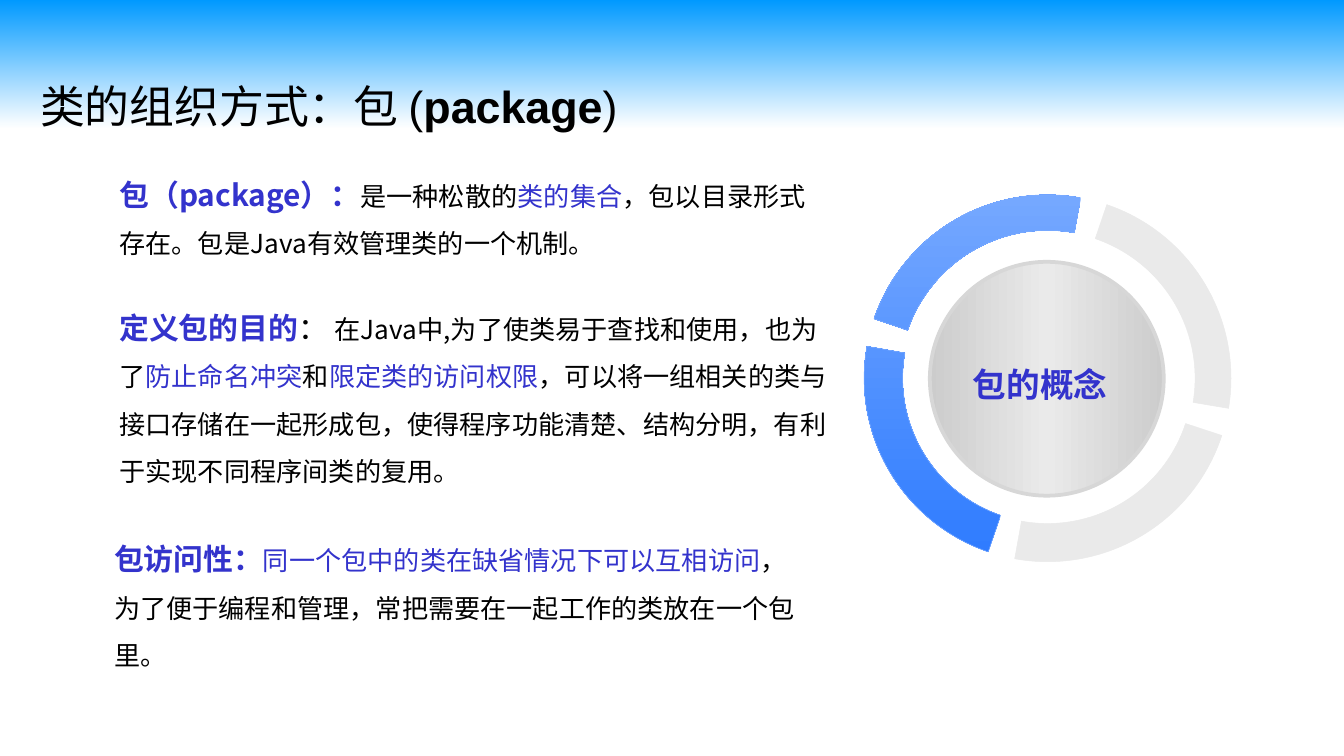
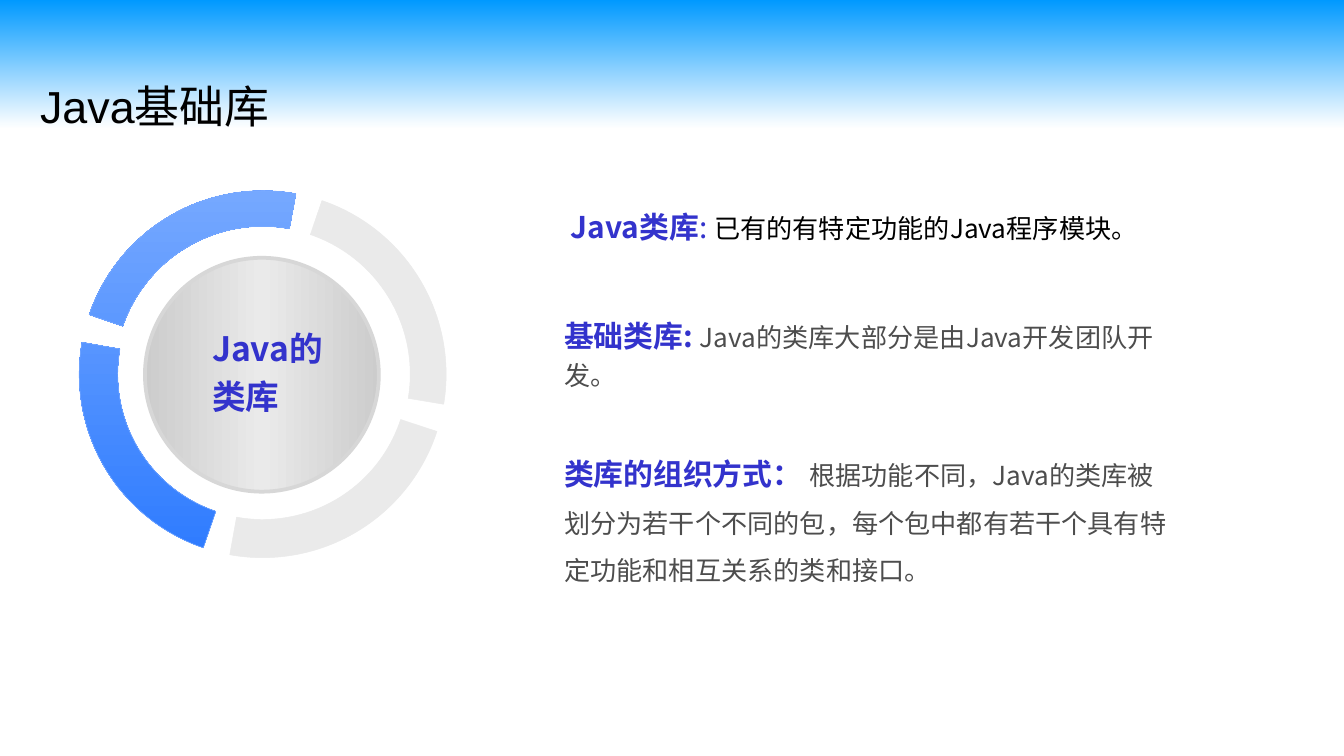
from copy import deepcopy
from dataclasses import dataclass
from typing import NamedTuple

from lxml.etree import SubElement
from pptx import Presentation
from pptx.dml.color import RGBColor
from pptx.enum.shapes import MSO_SHAPE as Shape
from pptx.enum.text import MSO_AUTO_SIZE as Auto
from pptx.oxml.ns import qn
from pptx.util import Pt

PX = 9144
BLACK = RGBColor(0x00, 0x00, 0x00)
WHITE = RGBColor(0xFF, 0xFF, 0xFF)
GRAY = RGBColor(0x4D, 0x4D, 0x4D)
INDIGO = RGBColor(0x33, 0x33, 0xCC)
SKY = RGBColor(0x00, 0x99, 0xFF)
DEEP = RGBColor(0x26, 0x76, 0xFF)
SOFT = RGBColor(0x7D, 0xAD, 0xFF)
PALE = RGBColor(0xEA, 0xEA, 0xEA)
STEEL = RGBColor(0xC5, 0xC5, 0xC5)
RIM = RGBColor(0xD7, 0xD7, 0xD7)
SANS = "Noto Sans CJK SC"
TITLE = "Arial"
RING, DISC, TURN = 273, 174, 14.4


class Run(NamedTuple):
    text: str
    color: RGBColor = BLACK
    size: int = 14
    bold: bool = False
    font: str = SANS


class Arc(NamedTuple):
    start: float
    end: float
    band: float
    flip: bool
    angle: int | None


@dataclass
class Box:
    left: int
    top: int
    width: int
    height: int
    space: float
    runs: list[Run]


@dataclass
class Page:
    title: list[Run]
    ring: tuple[int, int]
    boxes: list[Box]


ARCS = [
    Arc(274.46, 355.04, 9.8, False, None),
    Arc(184.38, 265.52, 10.5, True, 90),
    Arc(184.53, 266.03, 9.7, False, 270),
    Arc(274.09, 356.22, 10.4, True, None),
]


def head(text: str, size: int = 16) -> Run:
    return Run(text, INDIGO, size, True)


def name(text: str, bold: bool = False) -> Run:
    return Run(text, BLACK, 24, bold, TITLE)


PAGES = [
    Page(
        [name("类的组织方式：包 ("), name("package", True), name(")")],
        (643, 145),
        [
            Box(79, 113, 531, 86, 1.5, [
                head("包（package）："),
                Run("是一种松散的"),
                Run("类的集合", INDIGO),
                Run("，包以目录形式存在。包是Java有效管理类的一个机制。"),
            ]),
            Box(79, 212, 549, 157, 1.5, [
                head("定义包的目的"),
                Run("： ", size=16),
                Run("在Java中,为了使类易于查找和使用，也为了"),
                Run("防止命名冲突", INDIGO),
                Run("和"),
                Run("限定类的访问权限", INDIGO),
                Run("，可以将一组相关的类与接口存储在一起形成包，"
                    "使得程序功能清楚、结构分明，有利于实现不同程序间类的复用。"),
            ]),
            Box(75, 384, 538, 86, 1.5, [
                head("包访问性："),
                Run("同一个包中的类在缺省情况下可以互相访问", INDIGO),
                Run("，为了便于编程和管理，常把需要在一起工作的类放在一个包里。"),
            ]),
            Box(714, 260, 130, 43, 1.2, [head("包的概念", 18)]),
        ],
    ),
    Page(
        [name("Java基础库")],
        (59, 142),
        [
            Box(148, 233, 104, 83, 1.2, [head("Java的类库", 18)]),
            Box(415, 145, 498, 75, 1.2, [
                head("Java类库"),
                Run(": ", INDIGO, 16),
                Run("已有的有特定功能的Java程序模块。"),
            ]),
            Box(410, 226, 476, 68, 1.2, [
                head("基础类库: "),
                Run("Java的类库大部分是由Java开发团队开发。", GRAY),
            ]),
            Box(410, 321, 476, 116, 1.5, [
                head("类库的组织方式： "),
                Run("根据功能不同，Java的类库被划分为若干个不同的包，"
                    "每个包中都有若干个具有特定功能和相互关系的类和接口。", GRAY),
            ]),
        ],
    ),
]


def blend(fill, root, angle: int, stops: list[tuple[int, RGBColor]]) -> None:
    fill.gradient()
    fill.gradient_angle = -angle % 360
    grad = next(root.iter(qn("a:gradFill")))
    grad.set("rotWithShape", "0")
    marks = grad.find(qn("a:gsLst"))
    while len(marks) < len(stops):
        marks.append(deepcopy(marks[-1]))
    for mark, (place, color) in zip(fill.gradient_stops, stops):
        mark.position = place / 100
        mark.color.rgb = color


def edge(shape, color: RGBColor, width: float) -> None:
    shape.shadow.inherit = False
    shape.line.color.rgb = color
    shape.line.width = Pt(width)


def add_arc(group, arc: Arc, left: int, top: int) -> None:
    shape = group.shapes.add_shape(
        Shape.BLOCK_ARC, left * PX, top * PX, RING * PX, RING * PX)
    for i, value in enumerate((arc.start * 0.6, arc.end * 0.6, arc.band / 100)):
        shape.adjustments[i] = value
    if arc.flip:
        shape.element.spPr.xfrm.set("flipV", "1")
    if arc.angle is None:
        shape.fill.solid()
        shape.fill.fore_color.rgb = PALE
        edge(shape, PALE, 0.25)
    else:
        blend(shape.fill, shape.element, arc.angle, [(0, DEEP), (100, SOFT)])
        edge(shape, SOFT, 0.25)


def add_ring(slide, left: int, top: int) -> None:
    group = slide.shapes.add_group_shape()
    for arc in ARCS:
        add_arc(group, arc, left, top)
    inset = (RING - DISC + 1) // 2
    disc = group.shapes.add_shape(
        Shape.OVAL, (left + inset - 1) * PX, (top + inset) * PX,
        DISC * PX, DISC * PX)
    blend(disc.fill, disc.element, 0, [(0, STEEL), (50, PALE), (100, STEEL)])
    edge(disc, RIM, 2)
    group.rotation = TURN


def add_text(slide, box: Box) -> None:
    shape = slide.shapes.add_textbox(
        box.left * PX, box.top * PX, box.width * PX, box.height * PX)
    frame = shape.text_frame
    frame.word_wrap = True
    frame.auto_size = Auto.SHAPE_TO_FIT_TEXT
    para = frame.paragraphs[0]
    para.line_spacing = box.space
    for item in box.runs:
        run = para.add_run()
        run.text = item.text
        font = run.font
        font.size = Pt(item.size)
        font.bold = item.bold
        font.color.rgb = item.color
        font.name = item.font
        SubElement(font._element, qn("a:ea")).set("typeface", SANS)


def add_page(deck, page: Page) -> None:
    slide = deck.slides.add_slide(deck.slide_layouts[6])
    blend(slide.background.fill, slide.element, 90, [(0, SKY), (17, WHITE)])
    add_ring(slide, *page.ring)
    for box in page.boxes:
        add_text(slide, box)
    add_text(slide, Box(20, 54, 496, 50, 1.0, page.title))


def main() -> None:
    deck = Presentation()
    deck.slide_width = 1000 * PX
    deck.slide_height = deck.slide_width * 9 // 16
    for page in PAGES:
        add_page(deck, page)
    deck.save("out.pptx")


if __name__ == "__main__":
    main()
